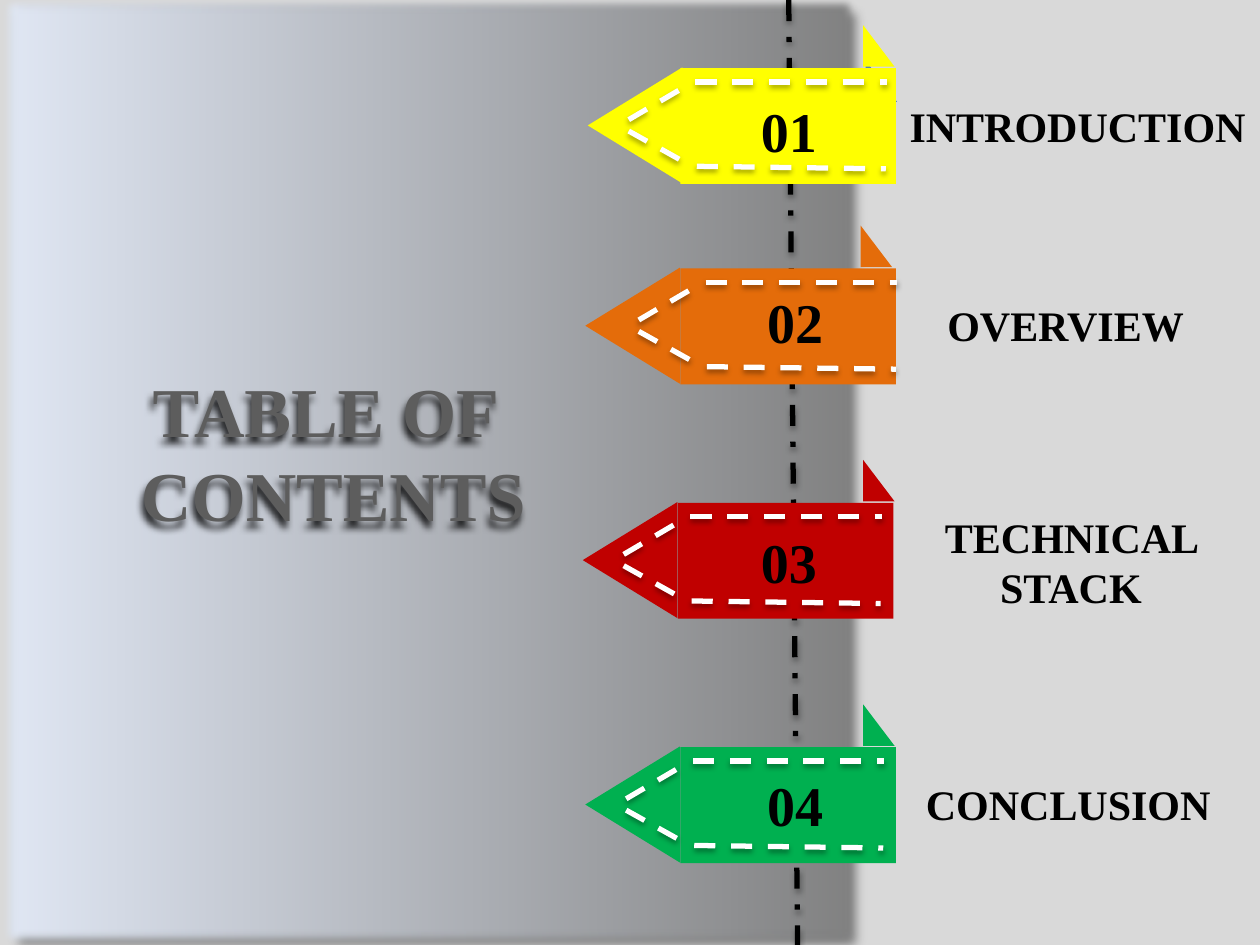
from dataclasses import dataclass

from lxml.etree import SubElement
from pptx import Presentation
from pptx.dml.color import RGBColor
from pptx.enum.dml import MSO_LINE as Dash
from pptx.enum.shapes import MSO_CONNECTOR as Conn, MSO_SHAPE as Shape
from pptx.enum.text import MSO_AUTO_SIZE as Fit, PP_ALIGN as Align
from pptx.oxml.ns import qn
from pptx.util import Pt

PX = 9144


@dataclass(frozen=True)
class Theme:
    font: str = "Times New Roman"
    back: str = "D9D9D9"
    ink: str = "000000"
    stitch: str = "FFFFFF"
    under_flap: str = "4F81BD"
    panel: tuple = ((0, "808080"), (100, "E1E8F5"))
    title: tuple = ((0, "555555"), (49, "5D5D5D"), (50, "000000"), (100, "000000"))
    title_size: int = 40
    number_size: int = 32
    label_size: int = 24
    line_width: int = 3


def add_color(parent, value):
    return SubElement(parent, qn("a:srgbClr"), val=value)


def add_gradient(parent, stops, angle):
    grad = SubElement(parent, qn("a:gradFill"), rotWithShape="1")
    gs_list = SubElement(grad, qn("a:gsLst"))
    for pos, value in stops:
        add_color(SubElement(gs_list, qn("a:gs"), pos=str(pos * 1000)), value)
    SubElement(grad, qn("a:lin"), ang=str(angle * 60000), scaled="0")
    return grad


def add_shadow(sp_pr, blur, dist, angle, alpha):
    effects = SubElement(sp_pr, qn("a:effectLst"))
    shadow = SubElement(effects, qn("a:outerShdw"), blurRad=str(Pt(blur)),
                        dist=str(Pt(dist)), dir=str(angle * 60000),
                        algn="tl", rotWithShape="0")
    SubElement(add_color(shadow, "000000"), qn("a:alpha"), val=str(alpha * 1000))
    return effects


class Deck:
    def __init__(self, theme, width, height):
        self.theme = theme
        self.prs = Presentation()
        self.prs.slide_width, self.prs.slide_height = width * PX, height * PX
        self.s = self.prs.slides.add_slide(self.prs.slide_layouts[6])
        fill = self.s.background.fill
        fill.solid()
        fill.fore_color.rgb = RGBColor.from_string(theme.back)

    def group(self):
        return self.s.shapes.add_group_shape().shapes

    def shape(self, kind, box, color, turn=0, shapes=None):
        sp = (shapes or self.s.shapes).add_shape(kind, *(v * PX for v in box))
        sp.fill.solid()
        sp.fill.fore_color.rgb = RGBColor.from_string(color)
        sp.line.fill.background()
        sp.shadow.inherit = False
        sp.rotation = turn
        return sp

    def panel(self, box):
        sp = self.shape(Shape.RECTANGLE, box, self.theme.back)
        sp_pr = sp.element.spPr
        sp_pr.replace(sp_pr.find(qn("a:solidFill")),
                      add_gradient(sp_pr, self.theme.panel, 180))
        sp_pr.remove(sp_pr.find(qn("a:effectLst")))
        effects = add_shadow(sp_pr, 4, 6, 45, 40)
        SubElement(effects, qn("a:softEdge"), rad=str(Pt(5)))

    def line(self, start, end, color, dash, shapes=None):
        cxn = (shapes or self.s.shapes).add_connector(
            Conn.STRAIGHT, *(v * PX for v in (*start, *end)))
        cxn.line.color.rgb = RGBColor.from_string(color)
        cxn.line.width = Pt(self.theme.line_width)
        cxn.line.dash_style = dash
        add_shadow(cxn.element.spPr, 3.1, 1.8, 90, 35)

    def text(self, box, lines, size, align=Align.LEFT, wrap=True):
        sp = self.s.shapes.add_textbox(*(v * PX for v in box))
        tf = sp.text_frame
        tf.word_wrap = wrap
        tf.auto_size = Fit.SHAPE_TO_FIT_TEXT
        for i, line in enumerate(lines):
            p = tf.add_paragraph() if i else tf.paragraphs[0]
            p.alignment = align
            r = p.add_run()
            r.text = line
            r.font.name = self.theme.font
            r.font.size = Pt(size)
            r.font.bold = True
            r.font.color.rgb = RGBColor.from_string(self.theme.ink)
        return sp

    def title(self, box, lines):
        sp = self.text(box, lines, self.theme.title_size, Align.CENTER, False)
        add_shadow(sp.element.spPr, 4, 4, 115, 80)
        for r_pr in sp.element.iter(qn("a:rPr")):
            r_pr.replace(r_pr.find(qn("a:solidFill")),
                         add_gradient(r_pr, self.theme.title, 90))
            ln = SubElement(r_pr, qn("a:ln"), w=str(Pt(1.4)))
            add_color(SubElement(ln, qn("a:solidFill")), self.theme.stitch)
            r_pr.insert(0, ln)

    def tag(self, x, y, tip_x, flap_x, color):
        shapes = self.group()
        self.shape(Shape.ISOSCELES_TRIANGLE, (tip_x, y + 8, 92, 75), color, 270, shapes)
        self.shape(Shape.RIGHT_TRIANGLE, (flap_x, y - 34, 25, 33), color, 0, shapes)
        self.shape(Shape.RECTANGLE, (x, y, 171, 92), color, 0, shapes)

    def stitches(self, x, y):
        shapes = self.group()
        for x1, y1, x2, y2 in ((0, 0, 152, 0), (1, 67, 151, 69),
                               (-53, 30, -7, 3), (-53, 39, -10, 63)):
            self.line((x + x1, y + y1), (x + x2, y + y2),
                      self.theme.stitch, Dash.DASH, shapes)


def main():
    theme = Theme()
    deck = Deck(theme, 1000, 750)
    deck.panel((0, -4, 683, 758))
    deck.title((100, 287, 329, 145), ("TABLE OF ", "CONTENTS"))
    deck.line((626, 0), (633, 750), theme.ink, Dash.DASH_DOT)
    deck.shape(Shape.RIGHT_TRIANGLE, (687, 48, 25, 33), theme.under_flap)

    left, center = Align.LEFT, Align.CENTER
    entries = (
        ("01", "FFFF00", (540, 54, 458, 685), 552, (594, 72),
         "INTRODUCTION", (712, 75, 288, 50), left),
        ("02", "E46C0A", (540, 213, 456, 683), 560, (599, 223),
         "OVERVIEW", (742, 233, 233, 50), left),
        ("03", "C00000", (538, 399, 454, 685), 548, (594, 414),
         "TECHNICAL STACK", (725, 401, 250, 91), center),
        ("04", "00B050", (540, 593, 456, 685), 550, (599, 607),
         "CONCLUSION", (725, 613, 250, 50), left),
    )
    for number, color, tag, stitch_x, number_at, label, label_box, align in entries:
        deck.tag(*tag, color)
        deck.stitches(stitch_x, tag[1] + 11)
        deck.text((*number_at, 69, 64), (number,), theme.number_size)
        deck.text(label_box, (label,), theme.label_size, align)
    deck.prs.save("out.pptx")


if __name__ == "__main__":
    main()
